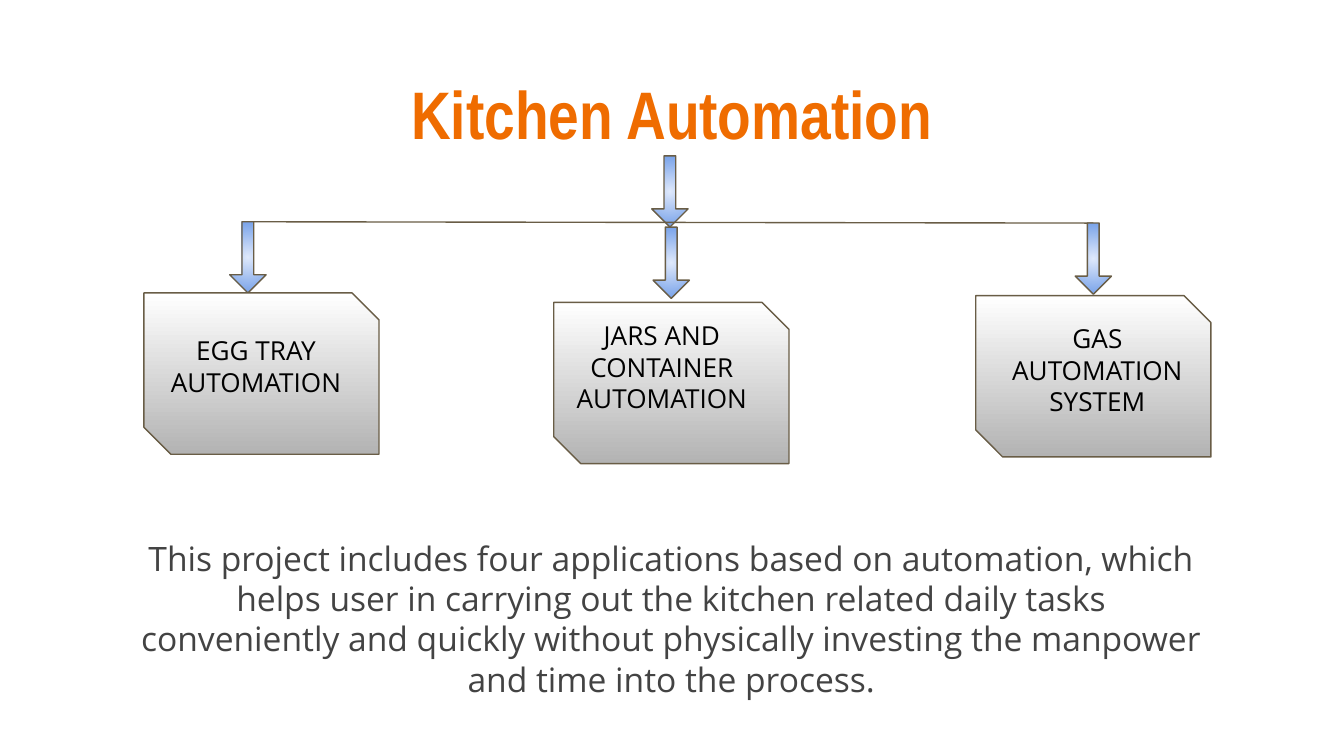
from dataclasses import dataclass

import pptx
import pptx.dml.color
import pptx.enum.shapes
import pptx.enum.text
import pptx.oxml
import pptx.oxml.ns
import pptx.util

Inches = pptx.util.Inches
Pt = pptx.util.Pt
RGB = pptx.dml.color.RGBColor.from_string
KIND = pptx.enum.shapes.MSO_SHAPE
TEXT = pptx.enum.text


@dataclass(frozen=True)
class Theme:
    title: str = "EF6C00"
    label: str = "000000"
    body: str = "434343"
    edge: str = "695D46"
    blue: tuple = ("DFE9FB", "6E9BE7")
    grey: tuple = ("FFFFFF", "B3B3B3")
    head: str = "Arial Narrow"
    sans: str = "Open Sans"
    big: int = 36
    mid: int = 18
    small: int = 14
    rule: float = 0.75


THEME = Theme()
ARROW = (0.27, 0.53)
CARD = (1.75, 1.2)

# Per branch: arrow corner, card corner, label box, label
BRANCHES = [
    ((1.71, 1.65), (1.07, 2.18), (0.99, 2.39, 1.83, 0.77), "EGG TRAY AUTOMATION"),
    ((4.86, 1.69), (4.12, 2.25), (4.05, 2.28, 1.75, 0.77), "JARS AND CONTAINER AUTOMATION"),
    ((8.0, 1.66), (7.26, 2.2), (7.29, 2.3, 1.75, 0.77), "GAS AUTOMATION SYSTEM"),
]
SUMMARY = (
    "This project includes four applications based on automation, which helps user "
    "in carrying out the kitchen related daily tasks conveniently and quickly without "
    "physically investing the manpower and time into the process."
)


def write(shape, text, size, font, color, bold=False):
    frame = shape.text_frame
    frame.word_wrap = True
    frame.auto_size = TEXT.MSO_AUTO_SIZE.NONE
    frame.vertical_anchor = TEXT.MSO_ANCHOR.TOP
    frame.margin_left = frame.margin_right = Inches(0.1)
    frame.margin_top = frame.margin_bottom = Inches(0.1)
    para = frame.paragraphs[0]
    para.alignment = TEXT.PP_ALIGN.CENTER
    run = para.add_run()
    run.text = text
    run.font.size = Pt(size)
    run.font.name = font
    run.font.bold = bold
    run.font.color.rgb = RGB(color)


def add_title(slide, text, box):
    title = slide.shapes.title
    title.left, title.top, title.width, title.height = map(Inches, box)
    write(title, text, THEME.big, THEME.head, THEME.title, bold=True)


def add_text(slide, text, box, size, color):
    area = slide.shapes.add_textbox(*map(Inches, box))
    write(area, text, size, THEME.sans, color)


def add_block(slide, kind, spot, size, adjust, colors):
    """Add an outlined shape with a vertical two-colour gradient."""
    shape = slide.shapes.add_shape(kind, *map(Inches, spot + size))
    shape.shadow.inherit = False
    for index, value in enumerate(adjust):
        shape.adjustments[index] = value
    shape.fill.gradient()
    shape.fill.gradient_angle = 270
    for place, (stop, color) in enumerate(zip(shape.fill.gradient_stops, colors)):
        stop.position = place
        stop.color.rgb = RGB(color)
    shape.line.color.rgb = RGB(THEME.edge)
    shape.line.width = Pt(THEME.rule)
    return shape


def make_round(shape):
    """Turn the linear gradient into one that spreads from the centre."""
    qn = pptx.oxml.ns.qn
    line = shape.element.spPr.find(qn("a:gradFill")).find(qn("a:lin"))
    ring = pptx.oxml.parse_xml(
        f'<a:path {pptx.oxml.ns.nsdecls("a")} path="circle">'
        '<a:fillToRect l="50000" t="50000" r="50000" b="50000"/></a:path>'
    )
    line.getparent().replace(line, ring)


def add_arrow(slide, spot):
    arrow = add_block(slide, KIND.DOWN_ARROW, spot, ARROW, (0.326, 0.5), THEME.blue)
    make_round(arrow)
    return arrow


def add_line(slide, start, end):
    line = slide.shapes.add_connector(
        pptx.enum.shapes.MSO_CONNECTOR.STRAIGHT, *map(Inches, start + end)
    )
    line.line.color.rgb = RGB(THEME.edge)
    line.line.width = Pt(THEME.rule)
    props = line.element.spPr
    props.append(props.makeelement(pptx.oxml.ns.qn("a:effectLst"), {}))
    return line


def main():
    deck = pptx.Presentation()
    deck.slide_width = Inches(10)
    deck.slide_height = deck.slide_width * 9 // 16
    slide = deck.slides.add_slide(deck.slide_layouts[5])

    add_title(slide, "Kitchen Automation", (0, 0.44, 10, 0.77))
    add_arrow(slide, (4.85, 1.16))
    bar = add_line(slide, (8.14, 1.66), (1.84, 1.65))
    arrows = [add_arrow(slide, spot) for spot, *_ in BRANCHES]
    bar.begin_connect(arrows[-1], 0)
    bar.end_connect(arrows[0], 0)

    for _, spot, _, _ in BRANCHES:
        add_block(slide, KIND.SNIP_2_DIAG_RECTANGLE, spot, CARD, (0, 0.167), THEME.grey)
    for _, _, box, text in BRANCHES:
        add_text(slide, text, box, THEME.small, THEME.label)
    add_text(slide, SUMMARY, (0.95, 3.9, 8.09, 1.46), THEME.mid, THEME.body)

    deck.save("out.pptx")


if __name__ == "__main__":
    main()
